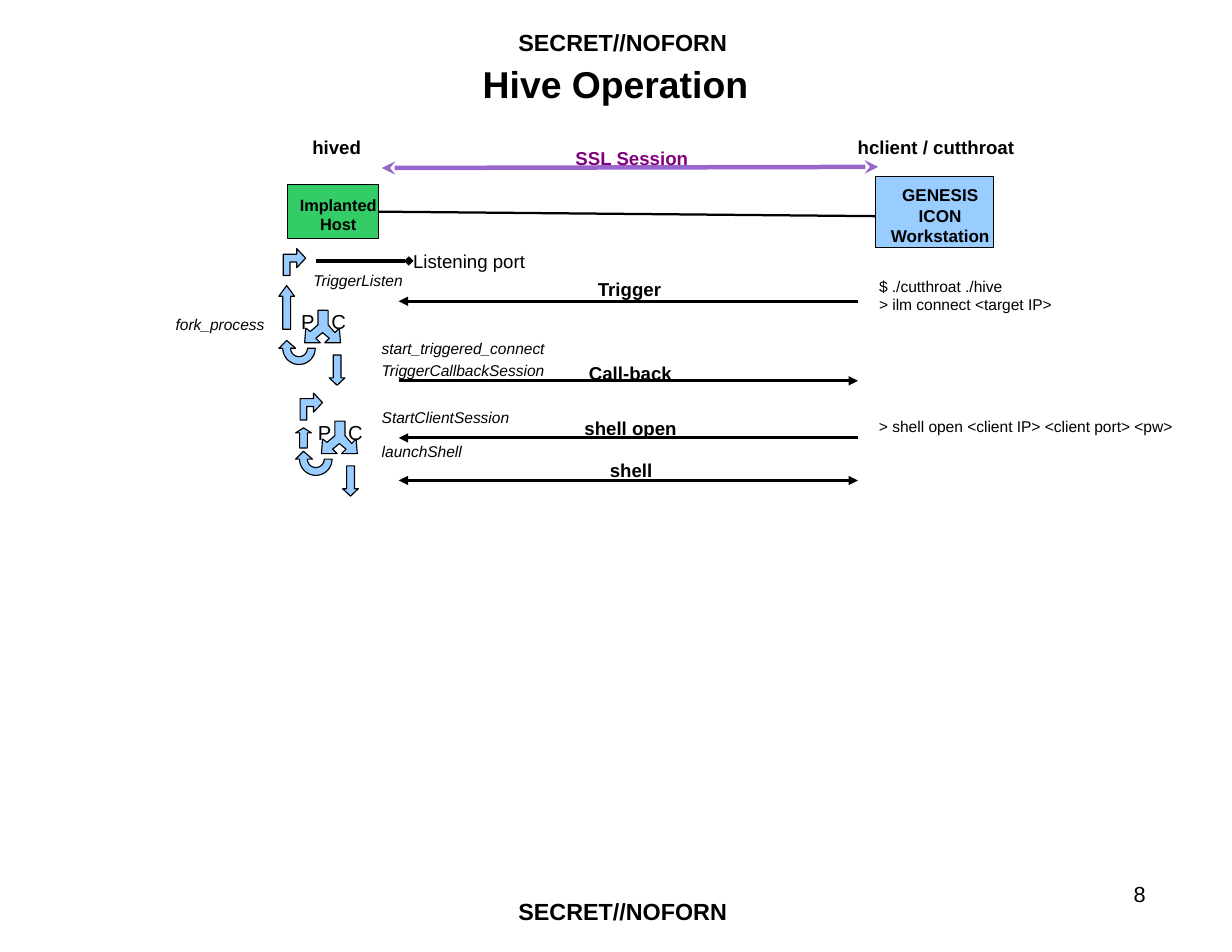
"""Build the Hive Operation sequence slide."""
from dataclasses import dataclass
from math import cos, pi, sin

from lxml.etree import SubElement
from pptx import Presentation
from pptx.dml.color import RGBColor
from pptx.enum.shapes import MSO_CONNECTOR, MSO_SHAPE
from pptx.enum.text import MSO_ANCHOR, MSO_AUTO_SIZE, PP_ALIGN
from pptx.oxml.ns import qn
from pptx.util import Inches, Pt

COLUMNS, ROWS = 110, 85
BLACK, BLUE, GREEN = "000000", "99CCFF", "33CC66"
PURPLE, VIOLET = "9966CC", "800080"
LEFT, CENTER, RIGHT = PP_ALIGN.LEFT, PP_ALIGN.CENTER, PP_ALIGN.RIGHT
LIFELINES = (35.6, 76.6)

deck = Presentation()
deck.slide_width, deck.slide_height = Inches(11), Inches(8.5)
page = deck.slides.add_slide(deck.slide_layouts[6])


@dataclass(frozen=True)
class Label:
    lines: str
    column: float
    row: float
    columns: float
    rows: float = 3.1
    size: float = 12
    bold: bool = False
    italic: bool = False
    color: str = BLACK
    align: PP_ALIGN = LEFT
    inset: bool = True
    wrap: bool = False


@dataclass(frozen=True)
class Message:
    start: tuple[float, float]
    end: tuple[float, float]
    head: str = ""
    tail: str = ""
    width: float = 0
    color: str = BLACK


@dataclass(frozen=True)
class Block:
    kind: MSO_SHAPE
    column: float
    row: float
    columns: float
    rows: float
    fill: str = BLUE
    head_share: float = 0


@dataclass(frozen=True)
class Outline:
    points: tuple[tuple[float, float], ...]
    column: float
    row: float


def across(columns: float) -> int:
    """Convert grid columns to a slide length."""
    return round(deck.slide_width * columns / COLUMNS)


def down(rows: float) -> int:
    """Convert grid rows to a slide length."""
    return round(deck.slide_height * rows / ROWS)


def paint(target, color: str) -> None:
    """Set a solid colour on a fill or a font colour."""
    if hasattr(target, "solid"):
        target.solid()
        target = target.fore_color
    target.rgb = RGBColor.from_string(color)


def finish(shape, fill: str) -> None:
    """Give a shape its fill and hairline border."""
    shape.shadow.inherit = False
    paint(shape.fill, fill)
    paint(shape.line.fill, BLACK)
    shape.line.width = Pt(0)


def draw_label(label: Label) -> None:
    """Write a label with one paragraph per line."""
    box = page.shapes.add_textbox(across(label.column), down(label.row),
                                  across(label.columns), down(label.rows))
    frame = box.text_frame
    frame.word_wrap = label.wrap
    if label.inset:
        frame.auto_size = MSO_AUTO_SIZE.SHAPE_TO_FIT_TEXT
    else:
        frame.margin_left = frame.margin_right = 0
        frame.margin_top = frame.margin_bottom = 0
        frame.vertical_anchor = MSO_ANCHOR.MIDDLE
    for index, line in enumerate(label.lines.split("\n")):
        para = frame.add_paragraph() if index else frame.paragraphs[0]
        para.alignment = label.align
        span = para.add_run()
        span.text = line
        span.font.name, span.font.size = "Arial", Pt(label.size)
        span.font.bold, span.font.italic = label.bold, label.italic
        paint(span.font.color, label.color)


def draw_message(message: Message) -> None:
    """Draw a line with optional arrowheads."""
    line = page.shapes.add_connector(
        MSO_CONNECTOR.STRAIGHT, across(message.start[0]), down(message.start[1]),
        across(message.end[0]), down(message.end[1]))
    paint(line.line.fill, message.color)
    line.line.width = Pt(message.width)
    outline = line.line._get_or_add_ln()
    for tag, kind in (("a:headEnd", message.head), ("a:tailEnd", message.tail)):
        if kind:
            SubElement(outline, qn(tag), type=kind)
    SubElement(line._element.spPr, qn("a:effectLst"))


def draw_block(block: Block) -> None:
    """Draw a preset shape."""
    shape = page.shapes.add_shape(block.kind, across(block.column), down(block.row),
                                  across(block.columns), down(block.rows))
    if block.head_share:
        shape.adjustments[0], shape.adjustments[1] = 0.5, block.head_share
    finish(shape, block.fill)


def draw_outline(outline: Outline) -> None:
    """Draw a closed outline from its grid corner."""
    points = [(across(outline.column + x), down(outline.row + y))
              for x, y in outline.points]
    builder = page.shapes.build_freeform(*points[0])
    builder.add_line_segments(points[1:], close=True)
    finish(builder.convert_to_shape(), BLUE)


def arc(radius: float, start: float, end: float) -> tuple[tuple[float, float], ...]:
    """Return points along an arc about the middle of the return arrow."""
    angles = (start + (end - start) * step / 24 for step in range(25))
    return tuple((1.8 + radius * cos(a), 0.7 + radius * sin(a)) for a in angles)


BENT = ((1.2, 1.7), (1.2, 1.2), (0.6, 1.2), (0.6, 2.4), (0, 2.4), (0, 0.5),
        (1.2, 0.5), (1.2, 0), (2, 0.85))
FORK = ((1.8, 2.9), (2.2, 2.5), (1.6, 2), (1, 2.5), (1.4, 2.9), (0, 2.9),
        (0.1, 1.6), (0.5, 1.9), (1.2, 1.3), (1.2, 0), (2.1, 0), (2.1, 1.3),
        (2.7, 2), (3.1, 1.6), (3.2, 2.9))
RETURN = arc(0.75, pi, 0) + arc(1.45, 0, pi) + ((0, 0.7), (0.7, 0), (1.5, 0.7))

BLOCKS = (
    Block(MSO_SHAPE.RECTANGLE, 25.7, 16.5, 8.1, 4.8, GREEN),
    Block(MSO_SHAPE.RECTANGLE, 78.2, 15.8, 10.5, 6.3),
    Block(MSO_SHAPE.UP_ARROW, 24.9, 25.5, 1.4, 3.9, head_share=0.68),
    Block(MSO_SHAPE.UP_ARROW, 26.4, 38.2, 1.4, 1.8, head_share=0.32),
    Block(MSO_SHAPE.DOWN_ARROW, 29.4, 31.7, 1.4, 2.7, head_share=0.47),
    Block(MSO_SHAPE.DOWN_ARROW, 30.6, 41.6, 1.4, 2.7, head_share=0.47),
)
OUTLINES = (
    Outline(BENT, 25.3, 22.2), Outline(BENT, 26.8, 35.1),
    Outline(FORK, 27.2, 27.7), Outline(FORK, 28.7, 37.6),
    Outline(RETURN, 24.9, 30.4), Outline(RETURN, 26.4, 40.3),
)
HOST, CLIENT = LIFELINES
MESSAGES = (
    Message((33.8, 18.9), (78.2, 19.3), width=1.45),
    Message((34.1, 15), (78.4, 14.9), "stealth", "stealth", 2.89, PURPLE),
    Message((28.2, 23.3), (36.5, 23.3), tail="diamond"),
    Message((CLIENT, 26.9), (HOST, 26.9), tail="triangle"),
    Message((HOST, 34), (CLIENT, 34), tail="triangle"),
    Message((CLIENT, 39.1), (HOST, 39.1), tail="triangle"),
    Message((CLIENT, 42.9), (HOST, 42.9), "triangle", "triangle"),
)
LABELS = (
    Label("Hive Operation", 7.7, 5.4, 94.5, 4.1, 24, True, align=CENTER,
          inset=False, wrap=True),
    Label("Implanted\nHost", 25.6, 16.9, 9.2, 4.6, 10.5, True, align=CENTER),
    Label("GENESIS\nICON\nWorkstation", 78.3, 16, 11.3, 6.7, 11, True, align=CENTER),
    Label("SSL Session", 50.4, 12.6, 12.7, bold=True, color=VIOLET),
    Label("Trigger", 52.4, 24.3, 8, bold=True),
    Label("Call-back", 51.6, 31.8, 9.9, bold=True),
    Label("shell open", 51.2, 36.7, 10.7, bold=True),
    Label("shell", 53.3, 40.5, 6.1, bold=True, align=CENTER),
    Label("hived", 26.9, 11.6, 6.6, bold=True),
    Label("hclient / cutthroat", 75.6, 11.6, 16.7, bold=True),
    Label("$ ./cutthroat ./hive\n> ilm connect <target IP>", 77.5, 24.2, 18.2, 4.5, 10),
    Label("> shell open <client IP> <client port> <pw>", 77.5, 36.7, 29.4, 2.8, 10),
    Label("Listening port", 35.9, 21.8, 12.6),
    Label("8", 77.8, 78.7, 24.5, 2.2, 14, align=RIGHT, inset=False, wrap=True),
    *(Label(letter, column, row, 3.4, 3.3, 13, wrap=True)
      for letter, column, row in (("P", 25.9, 27.1), ("C", 28.6, 27.1),
                                  ("P", 27.4, 37), ("C", 30.1, 37))),
    *(Label(name, column, row, columns, 2.8, 10, italic=True)
      for name, column, row, columns in (
          ("fork_process", 14.7, 27.6, 10.4), ("TriggerListen", 27, 23.7, 10.4),
          ("start_triggered_connect", 33.1, 29.8, 17.3),
          ("TriggerCallbackSession", 33.1, 31.7, 17.3),
          ("StartClientSession", 33.1, 35.9, 14), ("launchShell", 33.1, 39, 9.5))),
    *(Label("SECRET//NOFORN", 45.3, row, 21.5, 3.3, 15, True) for row in (2, 79.6)),
)

for items, draw in ((BLOCKS, draw_block), (OUTLINES, draw_outline),
                    (MESSAGES, draw_message), (LABELS, draw_label)):
    for item in items:
        draw(item)
deck.save("out.pptx")
